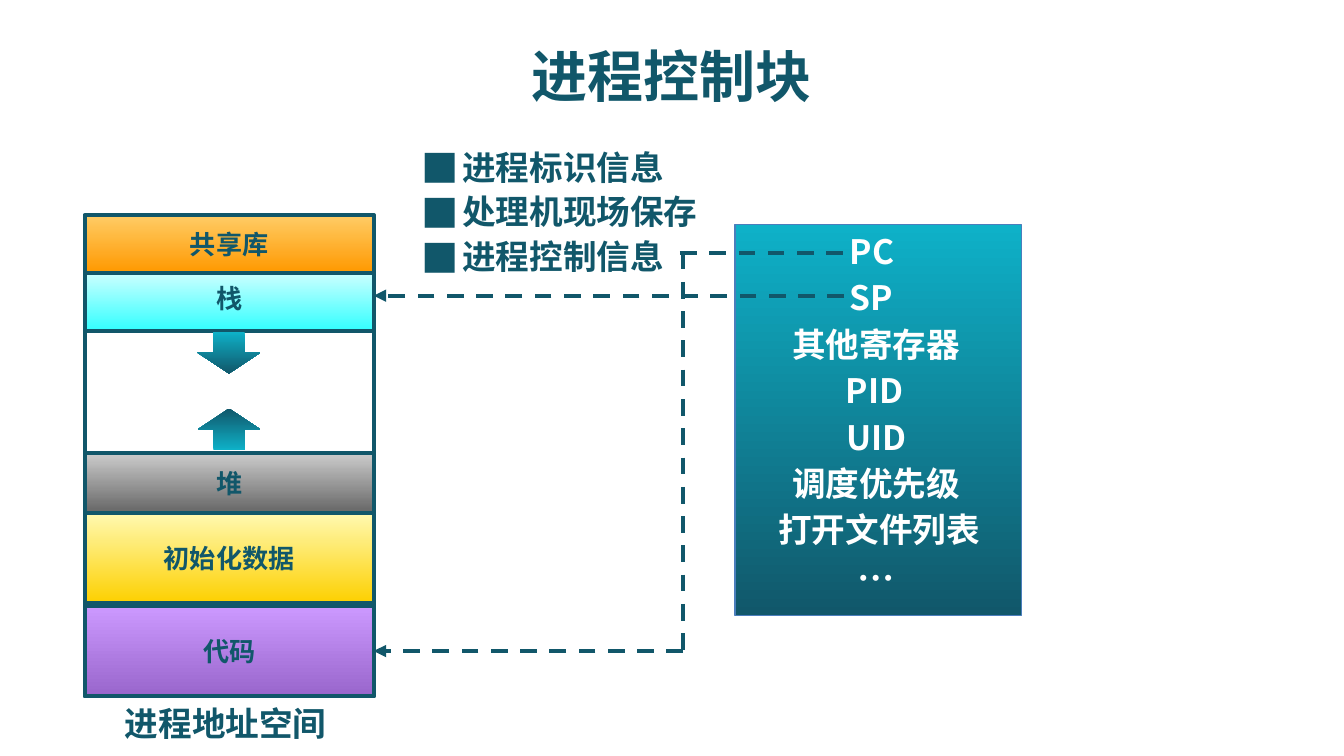
from lxml import etree
from pptx import Presentation
from pptx.dml.color import RGBColor
from pptx.enum.dml import MSO_LINE
from pptx.enum.shapes import MSO_CONNECTOR, MSO_SHAPE
from pptx.enum.text import MSO_ANCHOR, PP_ALIGN
from pptx.oxml.ns import qn
from pptx.util import Pt

RECTANGLE, DOWN_ARROW = MSO_SHAPE.RECTANGLE, MSO_SHAPE.DOWN_ARROW
STRAIGHT, DASH = MSO_CONNECTOR.STRAIGHT, MSO_LINE.DASH
MIDDLE, TOP = MSO_ANCHOR.MIDDLE, MSO_ANCHOR.TOP
CENTER, LEFT = PP_ALIGN.CENTER, PP_ALIGN.LEFT
RIGHT_SIDE = 3

FONT, BULLET_FONT = "Noto Sans CJK SC", "Noto Sans CJK JP"
TEAL, CYAN, WHITE, PANEL_BORDER = "11576A", "0EB1C8", "FFFFFF", "4B7EBC"

SPACE_LEFT, SPACE_WIDTH = 45.4, 154.8
# name, top, height, gradient start, gradient end, bottom inset
SEGMENTS = [
    ("代码", 324.7, 48.2, "CC99FF", "9966CC", 0),
    ("初始化数据", 275, 48.2, "FFF9B1", "FDD000", 0),
    ("堆", 242.6, 32.4, "CCCCCC", "666666", 0),
    ("栈", 146.2, 31, "CCFFFF", "33FFFF", 3.6),
    ("共享库", 115.2, 31, "FFCC66", "FF9900", 0),
]
# text, centre, width, size
FIELDS = [
    ("PC", 467.3, 38.9, 18), ("SP", 466.6, 37.4, 18),
    ("其他寄存器", 469.4, 105, 18), ("PID", 468.4, 46.8, 18),
    ("UID", 469.4, 49, 18), ("调度优先级", 469.4, 105, 18),
    ("打开文件列表", 470.9, 123.8, 18), ("…", 469, 33.8, 20),
]
FIELD_TOP, FIELD_PITCH = 120.2, 24.84
CONTENTS = ["进程标识信息", "处理机现场保存", "进程控制信息"]


def color(hex_string):
    return RGBColor.from_string(hex_string)


def apply_format(target, values):
    for name, value in values.items():
        setattr(target, name, value)


def write(paragraph, text, size, text_color, alignment):
    paragraph.alignment = alignment
    run = paragraph.add_run()
    run.text = text
    apply_format(run.font, {"size": Pt(size), "bold": True, "name": FONT})
    run.font.color.rgb = color(text_color)
    properties = run.font._element
    etree.SubElement(properties, qn("a:ea"), typeface=FONT)


def add_text(slide, box, lines, size, text_color=TEAL, alignment=CENTER,
             wrap=False, anchor=TOP):
    shape = slide.shapes.add_textbox(*map(Pt, box))
    frame = shape.text_frame
    apply_format(frame, {"word_wrap": wrap, "vertical_anchor": anchor})
    for index, line in enumerate(lines):
        paragraph = frame.add_paragraph() if index else frame.paragraphs[0]
        write(paragraph, line, size, text_color, alignment)
    return frame


def add_bullets(frame, pitch, indent):
    for paragraph in frame.paragraphs:
        paragraph.line_spacing = Pt(pitch)
        properties = paragraph._p.get_or_add_pPr()
        properties.set("marL", str(Pt(indent)))
        properties.set("indent", str(-Pt(indent)))
        etree.SubElement(properties, qn("a:buSzPct"), val="111000")
        etree.SubElement(properties, qn("a:buFont"), typeface=BULLET_FONT)
        etree.SubElement(properties, qn("a:buChar"), char="■")


def add_block(slide, kind, box, gradient=None, border=None, border_width=2.25):
    """Add a shape with a top-to-bottom gradient and an optional border."""
    shape = slide.shapes.add_shape(kind, *map(Pt, box))
    shape.shadow.inherit = False
    if gradient:
        shape.fill.gradient()
        shape.fill.gradient_angle = 270
        for stop, position, stop_color in zip(
                shape.fill.gradient_stops, (0, 1), gradient):
            apply_format(stop, {"position": position})
            stop.color.rgb = color(stop_color)
    else:
        shape.fill.background()
    if border:
        shape.line.color.rgb = color(border)
        shape.line.width = Pt(border_width)
    else:
        shape.line.fill.background()
    return shape


def add_dashed_line(slide, start, end, arrow=False):
    line = slide.shapes.add_connector(STRAIGHT, *map(Pt, start + end))
    line.line.color.rgb = color(TEAL)
    apply_format(line.line, {"width": Pt(2.25), "dash_style": DASH})
    if arrow:
        etree.SubElement(line.line._get_or_add_ln(), qn("a:tailEnd"),
                         type="triangle")
    etree.SubElement(line._element.spPr, qn("a:effectLst"))
    return line


def add_address_space(slide):
    """Draw the memory segments and return them by name."""
    add_text(slide, (59, 373, 123.8, 28.8), ["进程地址空间"], 18)
    add_block(slide, RECTANGLE, (SPACE_LEFT, 117.4, SPACE_WIDTH, 255.6),
              border=TEAL)
    segments = {}
    for name, top, height, start, end, bottom_inset in SEGMENTS:
        segment = add_block(slide, RECTANGLE,
                            (SPACE_LEFT, top, SPACE_WIDTH, height),
                            (start, end), TEAL)
        frame = segment.text_frame
        apply_format(frame, {"margin_top": 0, "margin_bottom": Pt(bottom_inset),
                             "vertical_anchor": MIDDLE})
        write(frame.paragraphs[0], name, 14, TEAL, CENTER)
        segments[name] = segment
    for top, rotation in ((177.8, 0), (218.9, 180)):
        arrow = add_block(slide, DOWN_ARROW, (105.8, top, 33.8, 22.3),
                          (CYAN, TEAL))
        arrow.rotation = rotation
    return segments


def add_control_block(slide):
    add_block(slide, RECTANGLE, (393.8, 120.2, 153.4, 209.5),
              (CYAN, TEAL), PANEL_BORDER, 0.75)
    for row, (text, center, width, size) in enumerate(FIELDS):
        box = (center - width / 2, FIELD_TOP + row * FIELD_PITCH, width, 28.8)
        add_text(slide, box, [text], size, WHITE)


def add_pointers(slide, code):
    corner_x, pc_y, code_y = 366, 135.4, 348.8
    add_dashed_line(slide, (364.3, pc_y), (455, pc_y))
    add_dashed_line(slide, (corner_x, pc_y), (corner_x, code_y))
    pointer = add_dashed_line(slide, (corner_x, code_y), (200.2, code_y), True)
    pointer.end_connect(code, RIGHT_SIDE)
    add_dashed_line(slide, (452.2, 158.4), (200.2, 158.4), True)


def main():
    presentation = Presentation()
    apply_format(presentation, {"slide_width": Pt(720), "slide_height": Pt(405)})
    slide = presentation.slides.add_slide(presentation.slide_layouts[6])
    add_text(slide, (54, 7.2, 612, 66.2), ["进程控制块"], 30,
             wrap=True, anchor=MIDDLE)
    segments = add_address_space(slide)
    add_control_block(slide)
    add_pointers(slide, segments["代码"])
    contents = add_text(slide, (219, 72.4, 166, 79.5), CONTENTS, 18,
                        alignment=LEFT, wrap=True)
    add_bullets(contents, 24.1, 21.6)
    presentation.save("out.pptx")


if __name__ == "__main__":
    main()
